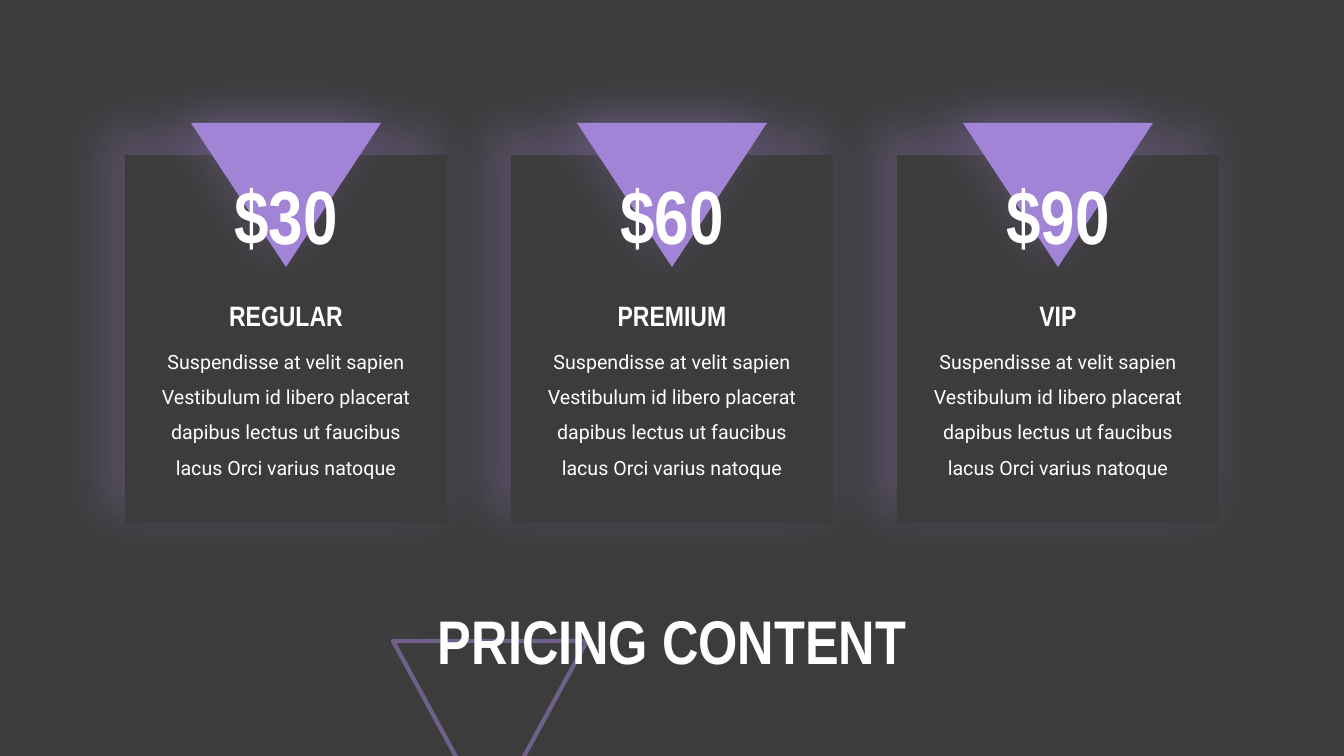
from lxml.etree import SubElement
from pptx import Presentation
from pptx.dml.color import RGBColor
from pptx.enum.shapes import MSO_SHAPE
from pptx.enum.text import MSO_ANCHOR, MSO_AUTO_SIZE, PP_ALIGN
from pptx.oxml.ns import qn
from pptx.util import Pt

SLIDE_WIDTH, SLIDE_HEIGHT = 1344, 756
EMU_PER_PX = 12192000 / SLIDE_WIDTH
DARK, PURPLE, WHITE = "3C3C3C", "A284D7", "FFFFFF"
HEADING_FONT, BODY_FONT = "Arial Narrow", "Roboto"
CARD_LEFT, CARD_PITCH = 125, 386
PLANS = [("$30", "REGULAR"), ("$60", "PREMIUM"), ("$90", "VIP")]
DESCRIPTION = (
    "Suspendisse at velit sapien Vestibulum id libero placerat "
    "dapibus lectus ut faucibus lacus Orci varius natoque"
)


def px(*lengths):
    """Turn pixel lengths into a list of EMU."""
    return [round(length * EMU_PER_PX) for length in lengths]


def paint(color_format, color):
    """Set a fill, line or font to a hex colour."""
    if hasattr(color_format, "solid"):
        color_format.solid()
        color_format = color_format.fore_color
    else:
        color_format = color_format.color
    color_format.rgb = RGBColor.from_string(color)


def set_alpha(parent, percent):
    """Make the colour inside an XML element partly transparent."""
    color = next(parent.iter(qn("a:srgbClr")))
    SubElement(color, qn("a:alpha"), val=str(percent * 1000))


def add_glow(shape):
    """Give a shape a soft purple shadow on all sides."""
    shape.shadow.inherit = False
    effects = shape._element.spPr.find(qn("a:effectLst"))
    shadow = SubElement(
        effects, qn("a:outerShdw"), blurRad=str(Pt(35)), dist="0", dir="0",
        sx="105000", sy="105000", algn="ctr", rotWithShape="0",
    )
    SubElement(shadow, qn("a:srgbClr"), val=PURPLE)
    set_alpha(shadow, 25)


def add_glowing_shape(slide, preset, box, color):
    """Add a filled, upside-down preset shape with a glow."""
    shape = slide.shapes.add_shape(preset, *px(*box))
    shape.rotation = 180
    shape._element.spPr.xfrm.set("flipH", "1")
    paint(shape.fill, color)
    shape.line.fill.background()
    add_glow(shape)


def format_text(frame, text, size, font, bold, spacing):
    """Write one centred white paragraph into a text frame."""
    frame.word_wrap = True
    paragraph = frame.paragraphs[0]
    paragraph.text = text
    paragraph.alignment = PP_ALIGN.CENTER
    paragraph.line_spacing = spacing
    paragraph.font.size = Pt(size)
    paragraph.font.name = font
    paragraph.font.bold = bold
    paint(paragraph.font, WHITE)


def add_label(slide, box, text, size, font=HEADING_FONT, bold=True, spacing=1.0):
    """Add a text box that grows with its text."""
    frame = slide.shapes.add_textbox(*px(*box)).text_frame
    format_text(frame, text, size, font, bold, spacing)
    frame.auto_size = MSO_AUTO_SIZE.SHAPE_TO_FIT_TEXT


def add_backdrop(slide):
    """Add the translucent envelope flap across the top."""
    builder = slide.shapes.build_freeform(0, 0, scale=EMU_PER_PX)
    builder.add_line_segments(
        [(SLIDE_WIDTH, 0), (SLIDE_WIDTH, 96), (SLIDE_WIDTH // 2, 454), (0, 96)]
    )
    flap = builder.convert_to_shape()
    paint(flap.fill, DARK)
    set_alpha(flap._element.spPr, 80)
    flap.line.fill.background()
    flap.shadow.inherit = False


def add_title(slide):
    """Add the title in front of its outlined triangle."""
    outline = slide.shapes.add_shape(
        MSO_SHAPE.ISOSCELES_TRIANGLE, *px(393, 641, 194, 178)
    )
    outline._element.spPr.xfrm.set("flipV", "1")
    outline.fill.background()
    paint(outline.line.fill, PURPLE)
    set_alpha(outline._element.spPr, 50)
    outline.line.width = Pt(3)
    add_glow(outline)

    title = slide.shapes.title
    title.left, title.top, title.width, title.height = px(330, 595, 685, 99)
    format_text(title.text_frame, "PRICING CONTENT", 44, HEADING_FONT, True, 0.9)
    title.text_frame.vertical_anchor = MSO_ANCHOR.MIDDLE
    outline._element.addnext(title._element)


def add_plan(slide, left, price, name):
    """Add one pricing card."""
    add_glowing_shape(slide, MSO_SHAPE.RECTANGLE, (left, 155, 322, 368), DARK)
    add_glowing_shape(
        slide, MSO_SHAPE.ISOSCELES_TRIANGLE, (left + 66, 123, 190, 144), PURPLE
    )
    add_label(slide, (left + 77, 164, 168, 102), price, 54)
    add_label(slide, (left + 66, 294, 190, 44), name, 20)
    add_label(
        slide, (left + 19, 333, 284, 149), DESCRIPTION, 14, BODY_FONT, False, 1.5
    )


def main():
    """Build and save the pricing slide."""
    presentation = Presentation()
    presentation.slide_width, presentation.slide_height = px(SLIDE_WIDTH, SLIDE_HEIGHT)
    slide = presentation.slides.add_slide(presentation.slide_layouts[0])
    paint(slide.background.fill, DARK)
    subtitle = slide.placeholders[1]._element
    subtitle.getparent().remove(subtitle)

    add_backdrop(slide)
    add_title(slide)
    for index, (price, name) in enumerate(PLANS):
        add_plan(slide, CARD_LEFT + index * CARD_PITCH, price, name)
    presentation.save("out.pptx")


if __name__ == "__main__":
    main()
